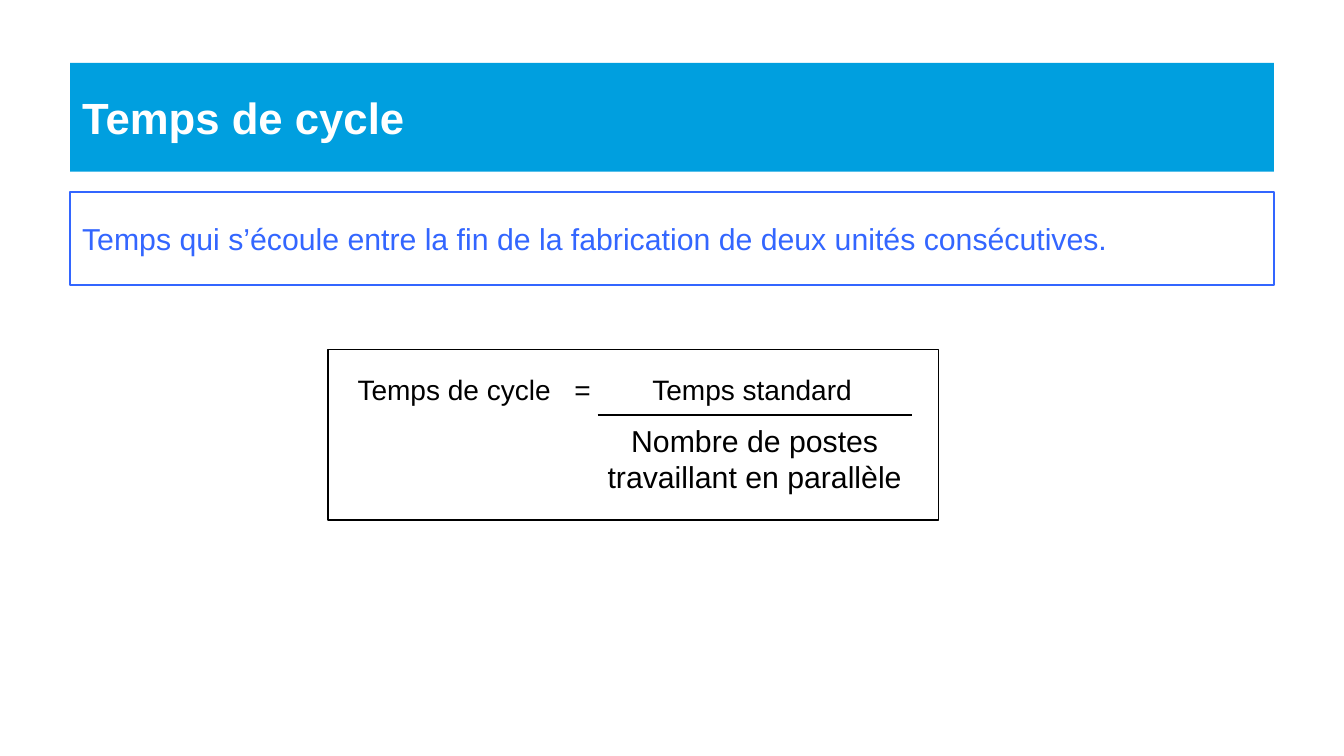
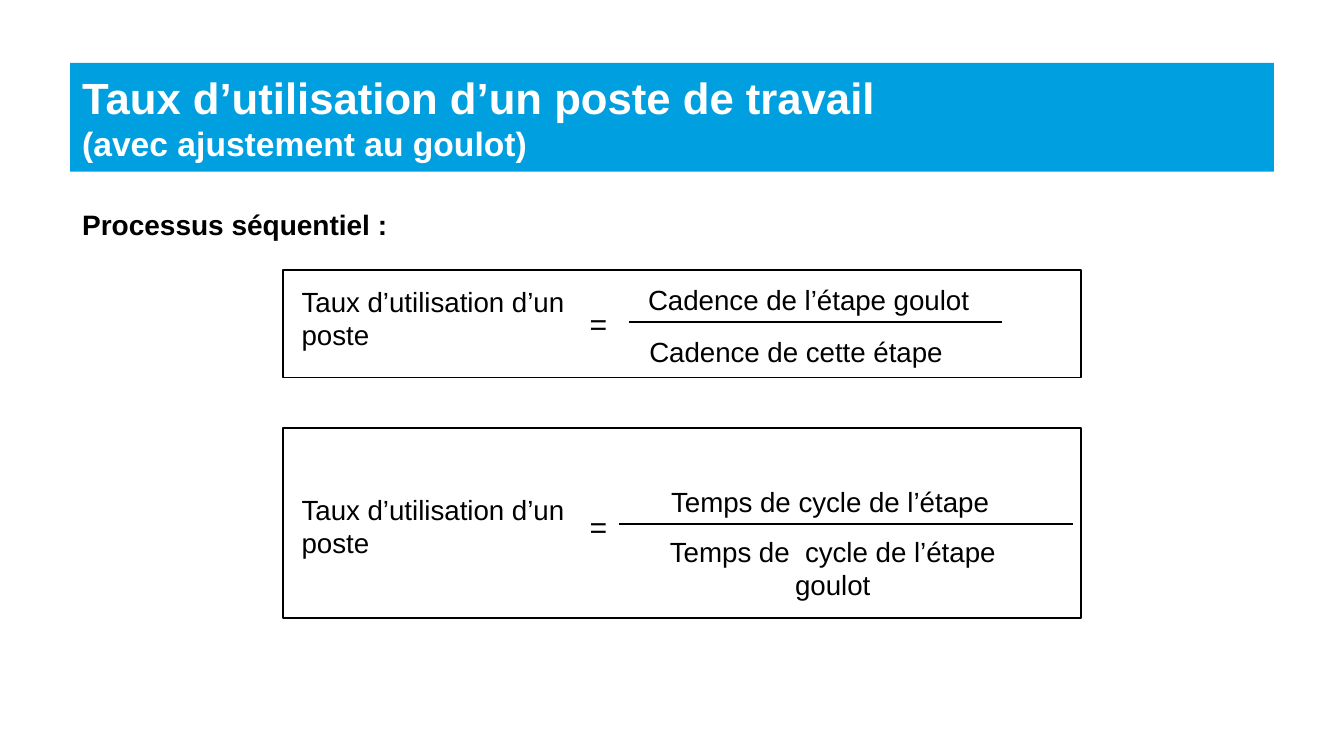
from lxml.etree import SubElement
from pptx import Presentation
from pptx.dml.color import RGBColor
from pptx.enum.shapes import MSO_CONNECTOR, MSO_SHAPE
from pptx.enum.text import MSO_ANCHOR, PP_ALIGN
from pptx.oxml.ns import qn
from pptx.util import Pt

FONT = "Arial"
BAND = "009FDF"
ACCENT = "3366FF"
BLACK = "000000"
WHITE = "FFFFFF"
LEFT, WIDTH = 41.8, 716.4
FRAME_X, FRAME_W = 168.5, 475.2
BODY = 16.5
LARGE = 18


def rgb(value):
    return RGBColor.from_string(value)


def style(r, size, color=BLACK, bold=False):
    r.font.name = FONT
    r.font.size = Pt(size)
    r.font.bold = bold
    r.font.color.rgb = rgb(color)


def add_box(s, x, y, w, h, fill=None, line=None):
    sp = s.shapes.add_shape(MSO_SHAPE.RECTANGLE, Pt(x), Pt(y), Pt(w), Pt(h))
    sp.shadow.inherit = False
    if fill:
        sp.fill.solid()
        sp.fill.fore_color.rgb = rgb(fill)
    else:
        sp.fill.background()
    if line:
        sp.line.color.rgb = rgb(line)
        sp.line.width = Pt(1)
    else:
        sp.line.fill.background()
    tf = sp.text_frame
    tf.word_wrap = True
    tf.vertical_anchor = MSO_ANCHOR.MIDDLE
    tf.paragraphs[0].alignment = PP_ALIGN.LEFT
    return sp


def add_title(s, title, subtitle=None):
    p = add_box(s, LEFT, 37.4, WIDTH, 64.8, fill=BAND).text_frame.paragraphs[0]
    p.text = title
    style(p.runs[0], 26, WHITE, True)
    if subtitle:
        p.add_line_break()
        r = p.add_run()
        r.text = subtitle
        style(r, 20, WHITE, True)


def add_definition(s, text):
    sp = add_box(s, LEFT, 114.5, WIDTH, 55.4, WHITE, ACCENT)
    p = sp.text_frame.paragraphs[0]
    p.text = text
    style(p.runs[0], LARGE, ACCENT)


def add_tabs(p, stops):
    tabs = SubElement(p._p.get_or_add_pPr(), qn("a:tabLst"))
    for stop in stops:
        SubElement(tabs, qn("a:tab"), pos=str(Pt(stop)), algn="l")


def add_label(s, x, y, w, h, text, size=BODY, bold=False, align=PP_ALIGN.LEFT, tabs=()):
    tf = s.shapes.add_textbox(Pt(x), Pt(y), Pt(w), Pt(h)).text_frame
    tf.word_wrap = True
    p = tf.paragraphs[0]
    p.text = text
    p.alignment = align
    if tabs:
        add_tabs(p, tabs)
    for r in p.runs:
        style(r, size, bold=bold)


def add_bar(s, x1, x2, y):
    c = s.shapes.add_connector(MSO_CONNECTOR.STRAIGHT, Pt(x1), Pt(y), Pt(x2), Pt(y))
    c.line.color.rgb = rgb(BLACK)
    c.line.width = Pt(1)
    SubElement(c._element.spPr, qn("a:effectLst"))


def add_rate(s, frame_y, frame_h, name_y, equals_y, bar, top, bottom):
    add_box(s, FRAME_X, frame_y, FRAME_W, frame_h, line=BLACK)
    add_label(s, 172.5, name_y, 183, 47.5, "Taux d’utilisation d’un poste")
    add_label(s, 343.8, equals_y, 26, 28.8, "=", LARGE)
    add_label(s, *top)
    add_label(s, *bottom)
    add_bar(s, *bar)


def cycle_time_slide(s):
    add_title(s, "Temps de cycle")
    add_definition(s, "Temps qui s’écoule entre la fin de la fabrication de deux unités consécutives.")
    add_box(s, 195.1, 208.1, 363.6, 101.5, line=BLACK)
    add_label(s, 205.8, 218.4, 340, 27, "Temps de cycle\t=\tTemps standard", 16.7,
              tabs=(129, 175.5))
    add_bar(s, 355.7, 542.9, 247)
    add_label(s, 350.6, 247.7, 197.3, 51.1, "Nombre de postes travaillant en parallèle",
              LARGE, align=PP_ALIGN.CENTER)


def utilisation_slide(s):
    add_title(s, "Taux d’utilisation d’un poste de travail", "(avec ajustement au goulot)")
    add_label(s, LEFT, 120, WIDTH, 27, "Processus séquentiel :", 16.7, bold=True)
    add_rate(s, 160.6, 64.1, 166, 178, (374.4, 596.2, 191.5),
             (378.7, 165, 230.4, 27.4, "Cadence de l’étape goulot"),
             (379.4, 196, 223.9, 27.4, "Cadence de cette étape"))
    add_rate(s, 254.9, 113, 289.8, 299, (368.6, 638.6, 311.8),
             (392.4, 285.2, 277.2, 27.4, "Temps de cycle de l’étape"),
             (368.6, 314.8, 254.2, 47.5, "Temps de  cycle de l’étape goulot",
              BODY, False, PP_ALIGN.CENTER))


def main():
    prs = Presentation()
    prs.slide_width, prs.slide_height = Pt(800), Pt(450)
    for build in (cycle_time_slide, utilisation_slide):
        build(prs.slides.add_slide(prs.slide_layouts[6]))
    prs.save("out.pptx")


if __name__ == "__main__":
    main()
